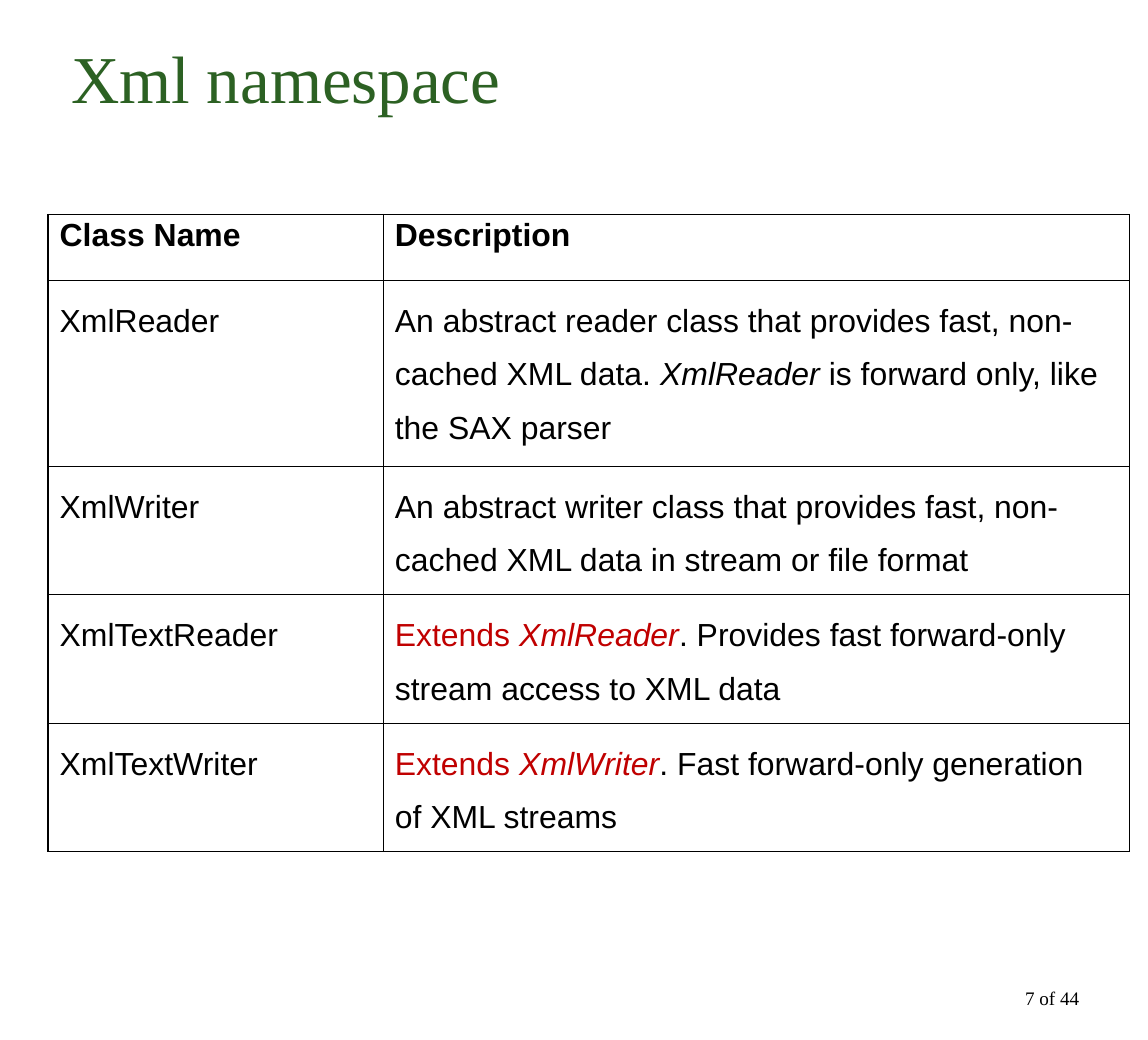
"""Build the slide that lists the classes of the Xml namespace."""
from dataclasses import dataclass

from lxml.etree import SubElement
from pptx import Presentation
from pptx.dml.color import RGBColor
from pptx.enum.text import MSO_ANCHOR, PP_ALIGN
from pptx.oxml.ns import qn
from pptx.util import Inches, Pt


@dataclass(frozen=True)
class Theme:
    """Colours, fonts and sizes."""
    green: str = "2C6123"
    black: str = "000000"
    red: str = "C00000"
    serif: str = "Times New Roman"
    sans: str = "Arial"
    head: float = 42
    body: float = 20
    small: float = 12
    thick: float = 1.08
    thin: float = 0.45


@dataclass(frozen=True)
class Part:
    """A stretch of text in one format."""
    text: str
    color: str = "000000"
    bold: bool = False
    slant: bool = False


@dataclass(frozen=True)
class Row:
    """A table row: height, line spacing, name and details."""
    height: float
    space: float
    name: Part
    info: tuple[Part, ...]


THEME = Theme()
WIDTHS = (2.92, 6.5)
ROWS = (
    Row(0.57, 0.9, Part("Class Name", bold=True), (Part("Description", bold=True),)),
    Row(1.62, 1.5, Part("XmlReader"), (
        Part("An abstract reader class that provides fast, non-cached XML data. "),
        Part("XmlReader", slant=True),
        Part(" is forward only, like the SAX parser"))),
    Row(1.12, 1.5, Part("XmlWriter"), (
        Part("An abstract writer class that provides fast, non-cached XML data "
             "in stream or file format"),)),
    Row(1.12, 1.5, Part("XmlTextReader"), (
        Part("Extends ", THEME.red), Part("XmlReader", THEME.red, slant=True),
        Part(". Provides fast forward-only stream access to XML data"))),
    Row(1.12, 1.5, Part("XmlTextWriter"), (
        Part("Extends ", THEME.red), Part("XmlWriter", THEME.red, slant=True),
        Part(". Fast forward-only generation of XML streams"))),
)


def write(para, text: str, *, font: str, size: float, color: str,
          bold: bool = False, slant: bool = False) -> None:
    """Add a run of text in the given format."""
    run = para.add_run()
    run.text = text
    face = run.font
    face.name, face.size = font, Pt(size)
    face.bold, face.italic = bold, slant
    face.color.rgb = RGBColor.from_string(color)


def edge(cell, side: str, width: float) -> None:
    """Draw one border of a cell."""
    line = SubElement(cell._tc.get_or_add_tcPr(), qn(f"a:ln{side}"), w=str(Pt(width)))
    fill = SubElement(line, qn("a:solidFill"))
    SubElement(fill, qn("a:srgbClr"), val=THEME.black)


def fill_cell(cell, parts: tuple[Part, ...], space: float, rims: str) -> None:
    """Set the borders, fill and text of a cell."""
    for side in "LRTB":
        edge(cell, side, THEME.thick if side in rims else THEME.thin)
    cell.fill.background()
    para = cell.text_frame.paragraphs[0]
    para.line_spacing = space
    for part in parts:
        write(para, part.text, font=THEME.sans, size=THEME.body,
              color=part.color, bold=part.bold, slant=part.slant)


def add_grid(slide, left: float, top: float) -> None:
    """Add the class table."""
    tall = sum(row.height for row in ROWS)
    table = slide.shapes.add_table(
        len(ROWS), len(WIDTHS), Inches(left), Inches(top),
        Inches(sum(WIDTHS)), Inches(tall)).table
    table.first_row = table.horz_banding = False
    for col, width in zip(table.columns, WIDTHS):
        col.width = Inches(width)
    for i, row in enumerate(ROWS):
        table.rows[i].height = Inches(row.height)
        ends = ("T" if i == 0 else "") + ("B" if i == len(ROWS) - 1 else "")
        fill_cell(table.cell(i, 0), (row.name,), row.space, "L" + ends)
        fill_cell(table.cell(i, 1), row.info, row.space, "R" + ends)


def add_title(slide, text: str) -> None:
    """Place and format the slide title."""
    title = slide.shapes.title
    title.left, title.top = Inches(0.52), Inches(0.35)
    title.width, title.height = Inches(8.4), Inches(0.63)
    frame = title.text_frame
    frame.vertical_anchor = MSO_ANCHOR.MIDDLE
    para = frame.paragraphs[0]
    para.alignment = PP_ALIGN.LEFT
    write(para, text, font=THEME.serif, size=THEME.head, color=THEME.green)


def add_page(slide, text: str) -> None:
    """Add the page count at the lower right."""
    frame = slide.shapes.add_textbox(
        Inches(7.17), Inches(8.24), Inches(2.33), Inches(0.6)).text_frame
    frame.word_wrap = True
    frame.vertical_anchor = MSO_ANCHOR.BOTTOM
    para = frame.paragraphs[0]
    para.alignment = PP_ALIGN.RIGHT
    write(para, text, font=THEME.serif, size=THEME.small, color=THEME.black)


def main() -> None:
    """Build and save the slide."""
    deck = Presentation()
    deck.slide_width, deck.slide_height = Inches(10), Inches(9.06)
    slide = deck.slides.add_slide(deck.slide_layouts[5])
    add_title(slide, "Xml namespace")
    add_grid(slide, 0.42, 1.87)
    add_page(slide, "7 of 44")
    deck.save("out.pptx")


if __name__ == "__main__":
    main()
